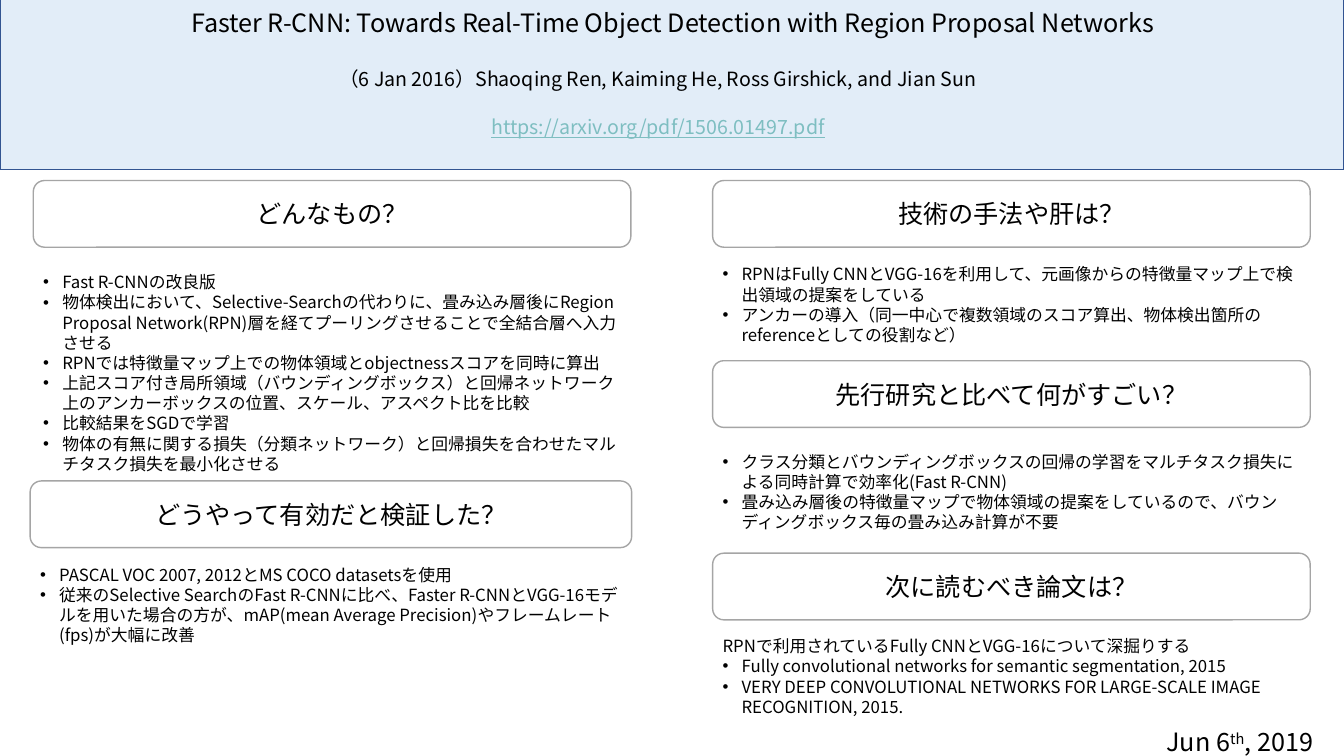
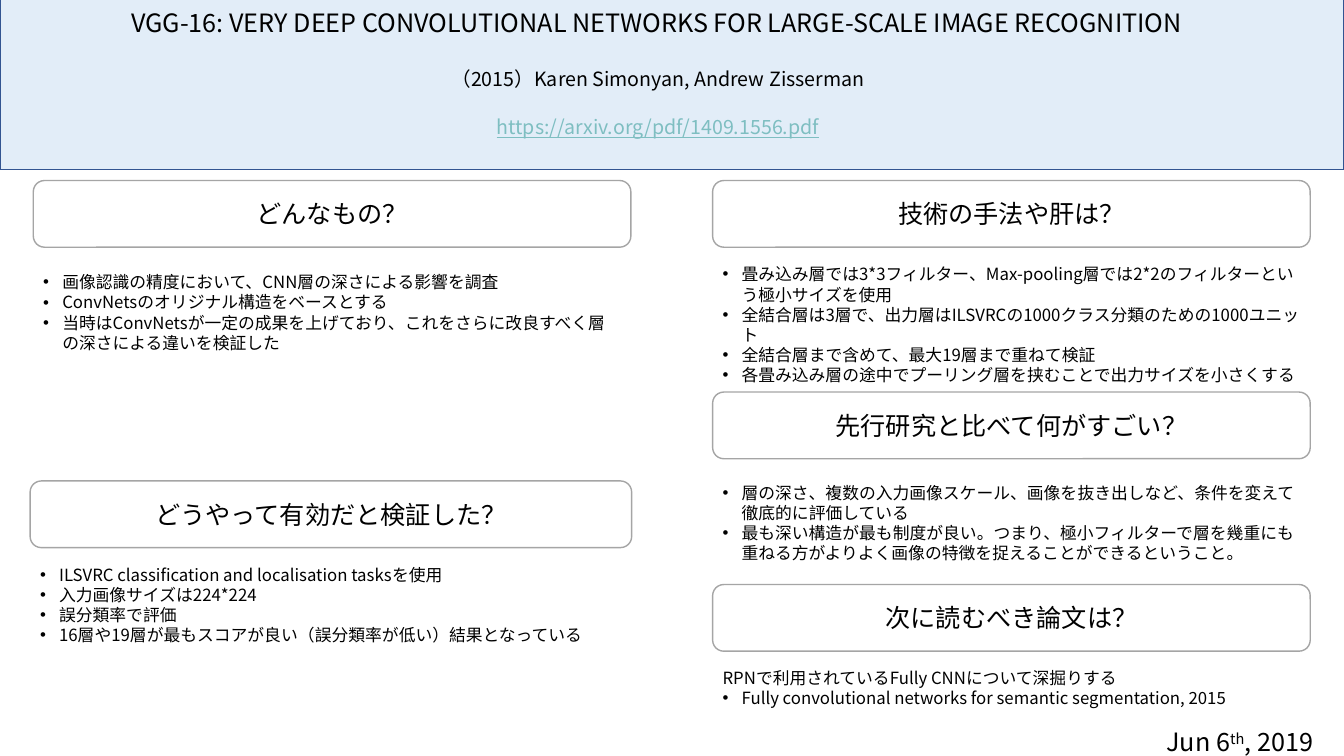
from pptx import Presentation
from pptx.dml.color import RGBColor
from pptx.enum.shapes import MSO_SHAPE
from pptx.enum.text import MSO_ANCHOR, PP_ALIGN
from pptx.oxml import parse_xml
from pptx.oxml.ns import nsdecls, qn
from pptx.util import Cm, Pt
from lxml import etree

FONT = "Noto Sans CJK JP"
BLACK = RGBColor(0x00, 0x00, 0x00)
WHITE = RGBColor(0xFF, 0xFF, 0xFF)
GREY = RGBColor(0xA5, 0xA5, 0xA5)
PALE_BLUE = RGBColor(0xDE, 0xEB, 0xF7)
NAVY = RGBColor(0x32, 0x54, 0x91)
TEAL = RGBColor(0x7E, 0xBE, 0xC1)

HEADING = {"size": Pt(18)}
BYLINE = {"size": Pt(14)}
LINK = {"size": Pt(14), "underline": True, "color": TEAL}
BODY = {"size": Pt(12)}

SLIDE_W, SLIDE_H = 33.87, 19.05
LEFT, RIGHT = 0.84, 17.96
LEFT_LOW = 0.76
COLUMN_W = 15.06
HEADING_H = 1.68
INDENT = Cm(0.48)

# heading, left, heading width, gap from heading top to body top
SECTIONS = [
    ("どんなもの？", LEFT, COLUMN_W, 2.18),
    ("どうやって有効だと検証した？", LEFT_LOW, 15.16, 1.98),
    ("技術の手法や肝は？", RIGHT, COLUMN_W, 1.98),
    ("先行研究と比べて何がすごい？", RIGHT, COLUMN_W, 2.16),
    ("次に読むべき論文は？", RIGHT, COLUMN_W, 1.96),
]

# bodies: heading top, body height, paragraphs; "• " starts a bullet
PAPERS = [
    {
        "title": "Faster R-CNN: Towards Real-Time Object Detection with Region Proposal Networks",
        "title_at": (3.2, 27.51),
        "byline": "（6 Jan 2016）Shaoqing Ren, Kaiming He, Ross Girshick, and Jian Sun",
        "link": "https://arxiv.org/pdf/1506.01497.pdf",
        "bodies": [
            (4.55, 5.38, [
                "• Fast R-CNNの改良版",
                "• 物体検出において、Selective-Searchの代わりに、畳み込み層後にRegion Proposal Network(RPN)層を経てプーリングさせることで全結合層へ入力させる",
                "• RPNでは特徴量マップ上での物体領域とobjectnessスコアを同時に算出",
                "• 上記スコア付き局所領域（バウンディングボックス）と回帰ネットワーク上のアンカーボックスの位置、スケール、アスペクト比を比較",
                "• 比較結果をSGDで学習",
                "• 物体の有無に関する損失（分類ネットワーク）と回帰損失を合わせたマルチタスク損失を最小化させる",
            ]),
            (12.12, 2.31, [
                "• PASCAL VOC 2007, 2012とMS COCO datasetsを使用",
                "• 従来のSelective SearchのFast R-CNNに比べ、Faster R-CNNとVGG-16モデルを用いた場合の方が、mAP(mean Average Precision)やフレームレート(fps)が大幅に改善",
            ]),
            (4.55, 2.31, [
                "• RPNはFully CNNとVGG-16を利用して、元画像からの特徴量マップ上で検出領域の提案をしている",
                "• アンカーの導入（同一中心で複数領域のスコア算出、物体検出箇所のreferenceとしての役割など）",
            ]),
            (9.09, 2.31, [
                "• クラス分類とバウンディングボックスの回帰の学習をマルチタスク損失による同時計算で効率化(Fast R-CNN)",
                "• 畳み込み層後の特徴量マップで物体領域の提案をしているので、バウンディングボックス毎の畳み込み計算が不要",
            ]),
            (13.94, 2.31, [
                "RPNで利用されているFully CNNとVGG-16について深掘りする",
                "• Fully convolutional networks for semantic segmentation, 2015",
                "• VERY DEEP CONVOLUTIONAL NETWORKS FOR LARGE-SCALE IMAGE RECOGNITION, 2015.",
            ]),
        ],
    },
    {
        "title": "VGG-16: VERY DEEP CONVOLUTIONAL NETWORKS FOR LARGE-SCALE IMAGE RECOGNITION",
        "title_at": (1.27, 30.56),
        "byline": "（2015）Karen Simonyan, Andrew Zisserman",
        "link": "https://arxiv.org/pdf/1409.1556.pdf",
        "bodies": [
            (4.55, 2.31, [
                "• 画像認識の精度において、CNN層の深さによる影響を調査",
                "• ConvNetsのオリジナル構造をベースとする",
                "• 当時はConvNetsが一定の成果を上げており、これをさらに改良すべく層の深さによる違いを検証した",
            ]),
            (12.12, 2.31, [
                "• ILSVRC classification and localisation tasksを使用",
                "• 入力画像サイズは224*224",
                "• 誤分類率で評価",
                "• 16層や19層が最もスコアが良い（誤分類率が低い）結果となっている",
            ]),
            (4.55, 3.33, [
                "• 畳み込み層では3*3フィルター、Max-pooling層では2*2のフィルターという極小サイズを使用",
                "• 全結合層は3層で、出力層はILSVRCの1000クラス分類のための1000ユニット",
                "• 全結合層まで含めて、最大19層まで重ねて検証",
                "• 各畳み込み層の途中でプーリング層を挟むことで出力サイズを小さくする",
            ]),
            (9.88, 2.31, [
                "• 層の深さ、複数の入力画像スケール、画像を抜き出しなど、条件を変えて徹底的に評価している",
                "• 最も深い構造が最も制度が良い。つまり、極小フィルターで層を幾重にも重ねる方がよりよく画像の特徴を捉えることができるということ。",
            ]),
            (14.73, 1.27, [
                "RPNで利用されているFully CNNについて深掘りする",
                "• Fully convolutional networks for semantic segmentation, 2015",
            ]),
        ],
    },
]


def write(sp, paragraphs, style, align=PP_ALIGN.CENTER):
    """Fill sp with paragraphs, each a string or a list of run strings."""
    tf = sp.text_frame
    tf.word_wrap = True
    for i, runs in enumerate(paragraphs):
        p = tf.paragraphs[0] if i == 0 else tf.add_paragraph()
        p.alignment = align
        p.line_spacing = Pt(style["size"].pt * 1.2)
        runs = [runs] if isinstance(runs, str) else runs
        if runs[0].startswith("• "):
            pPr = p._p.get_or_add_pPr()
            pPr.set("marL", str(INDENT))
            pPr.set("indent", str(-INDENT))
            pPr.append(parse_xml(f'<a:buFont {nsdecls("a")} typeface="Arial"/>'))
            pPr.append(parse_xml(f'<a:buChar {nsdecls("a")} char="•"/>'))
        for text in runs:
            r = p.add_run()
            r.text = text.removeprefix("• ")
            for name, value in {"name": FONT, **style}.items():
                if name != "color":
                    setattr(r.font, name, value)
            r.font.color.rgb = style.get("color", BLACK)
            etree.SubElement(r._r.get_or_add_rPr(), qn("a:ea"), typeface=FONT)


def add_box(shapes, kind, at, fill, line):
    sp = shapes.add_shape(kind, *map(Cm, at))
    sp.shadow.inherit = False
    sp.fill.solid()
    sp.fill.fore_color.rgb = fill
    sp.line.color.rgb = line
    sp.line.width = Pt(1)
    return sp


prs = Presentation()
prs.slide_width, prs.slide_height = Cm(SLIDE_W), Cm(SLIDE_H)

for paper in PAPERS:
    s = prs.slides.add_slide(prs.slide_layouts[6])

    for (heading, left, width, gap), (top, height, lines) in zip(SECTIONS, paper["bodies"]):
        sp = add_box(s.shapes, MSO_SHAPE.ROUNDED_RECTANGLE,
                     (left, top, width, HEADING_H), WHITE, GREY)
        sp.text_frame.vertical_anchor = MSO_ANCHOR.MIDDLE
        write(sp, [heading], HEADING)
        body = s.shapes.add_textbox(Cm(left), Cm(top + gap), Cm(COLUMN_W), Cm(height))
        write(body, lines, BODY, PP_ALIGN.LEFT)

    banner = s.shapes.add_group_shape().shapes
    band = add_box(banner, MSO_SHAPE.RECTANGLE, (0, -0.05, SLIDE_W, 4.32), PALE_BLUE, NAVY)
    color = band.fill._xPr.find(qn("a:solidFill"))[0]
    etree.SubElement(color, qn("a:alpha"), val="86000")
    title_left, title_width = paper["title_at"]
    for key, left, top, width, height, style in [
        ("title", title_left, 0.05, title_width, 1.0, HEADING),
        ("byline", 7.06, 1.55, 19.05, 0.85, BYLINE),
        ("link", 7.06, 2.77, 19.05, 0.85, LINK),
    ]:
        tb = banner.add_textbox(Cm(left), Cm(top), Cm(width), Cm(height))
        write(tb, [paper[key]], style)

    date = s.shapes.add_textbox(Cm(28.63), Cm(18.19), Cm(5.23), Cm(1.02))
    write(date, [["Jun 6", "th", ", 2019"]], HEADING)
    ordinal = date.text_frame.paragraphs[0].runs[1]
    ordinal._r.get_or_add_rPr().set("baseline", "30000")

prs.save("out.pptx")
